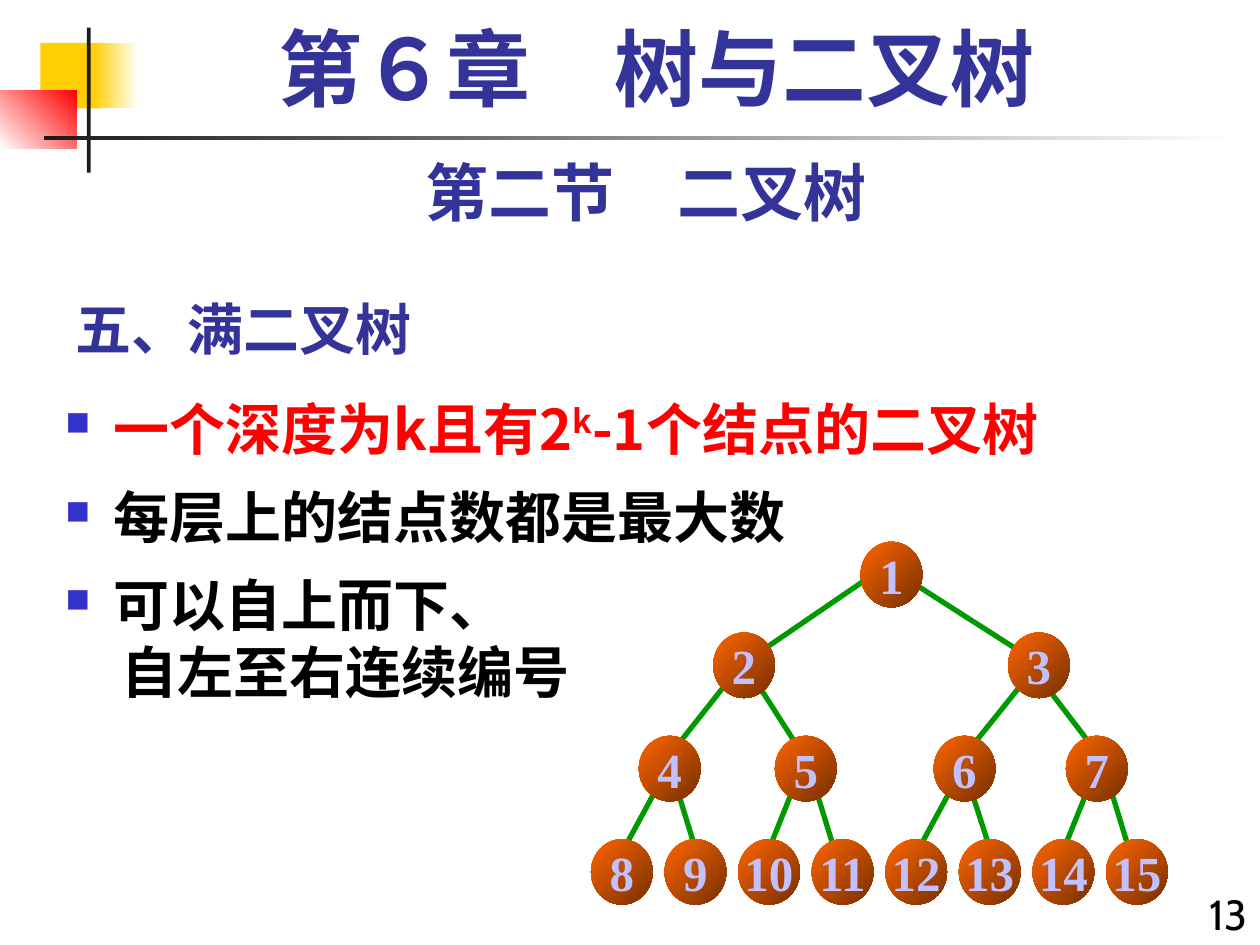
"""Build the slide on full binary trees."""
from lxml.etree import SubElement as Sub
from pptx import Presentation
from pptx.dml.color import RGBColor
from pptx.enum.shapes import MSO_CONNECTOR as Link, MSO_SHAPE as Kind
from pptx.enum.text import MSO_ANCHOR as Anchor, PP_ALIGN as Align
from pptx.oxml.ns import qn
from pptx.util import Inches, Pt

BLUE = RGBColor(0x33, 0x33, 0x99)
MARK = RGBColor(0x33, 0x33, 0xCC)
RED = RGBColor(0xFF, 0x00, 0x00)
BLACK = RGBColor(0x00, 0x00, 0x00)
WHITE = RGBColor(0xFF, 0xFF, 0xFF)
GOLD = RGBColor(0xFF, 0xCF, 0x01)
DARK = RGBColor(0x1C, 0x1C, 0x1C)
GREEN = RGBColor(0x00, 0x99, 0x00)
FLAME = RGBColor(0xFF, 0x66, 0x00)
BROWN = RGBColor(0x76, 0x2F, 0x00)
LILAC = RGBColor(0xC1, 0xC1, 0xFF)
HAN, SERIF, SANS = "Noto Sans CJK SC", "Times New Roman", "Cabin"

DECOR = [
    ((0.32, 0.34, 0.48, 0.52), (GOLD,), 0),
    ((0.74, 0.34, 0.36, 0.52), (GOLD, WHITE), 0),
    ((0, 0.72, 0.61, 0.46), (WHITE, RED), 45),
    ((0.69, 0.22, 0.03, 1.15), (DARK,), 0),
    ((0.35, 1.08, 9.45, 0.03), (DARK, WHITE), 0),
]
POINTS = [
    ([("一个深度为k且有2", 0), ("k", 30), ("-1个结点的二叉树", 0)], RED, True),
    ([("每层上的结点数都是最大数", 0)], BLACK, True),
    ([("可以自上而下、", 0)], BLACK, True),
    ([("　自左至右连续编号", 0)], BLACK, False),
]
LEVELS = [
    (4.3, [6.83]),
    (5.02, [5.66, 8]),
    (5.84, [5.07, 6.15, 7.41, 8.46]),
    (6.66, [4.69 + i * 0.584 for i in range(8)]),
]
EDGES = [
    (6.96, 4.54, 5.95, 5.23), (7.22, 4.61, 8.19, 5.23),
    (5.76, 5.43, 5.27, 6.05), (5.95, 5.33, 6.34, 5.94),
    (8.19, 5.33, 7.7, 5.94), (8.29, 5.43, 8.68, 5.94),
    (5.27, 6.15, 4.88, 6.87), (5.37, 6.25, 5.56, 6.87),
    (6.34, 6.15, 6.05, 6.87), (6.44, 6.15, 6.63, 6.77),
    (7.61, 6.15, 7.22, 6.87), (7.7, 6.25, 7.9, 6.87),
    (8.68, 6.15, 8.39, 6.87), (8.78, 6.15, 8.97, 6.77),
]


def write(para, text, size=32, font=HAN, color=BLUE, bold=True,
          align=Align.LEFT, base=0):
    para.alignment = align
    run = para.add_run()
    run.text = text
    face = run.font
    face.size, face.name, face.bold = Pt(size), font, bold
    face.color.rgb = color
    props = face._element
    Sub(props, qn("a:ea")).set("typeface", HAN)
    if base:
        props.set("baseline", str(base * 1000))


def box(slide, at, anchor=Anchor.TOP):
    frame = slide.shapes.add_textbox(*map(Inches, at)).text_frame
    frame.word_wrap = True
    frame.vertical_anchor = anchor
    return frame


def shape(slide, kind, at, tints, angle=0):
    item = slide.shapes.add_shape(kind, *map(Inches, at))
    item.shadow.inherit = False
    item.line.fill.background()
    if len(tints) == 1:
        item.fill.solid()
        item.fill.fore_color.rgb = tints[0]
    else:
        item.fill.gradient()
        item.fill.gradient_angle = angle
        for stop, tint in zip(item.fill.gradient_stops, tints):
            stop.color.rgb = tint
    return item


def indent(para, mark):
    props = para._p.get_or_add_pPr()
    props.set("marL", str(Inches(0.38)))
    props.set("indent", str(-Inches(0.38)))
    if mark:
        tint = Sub(Sub(props, qn("a:buClr")), qn("a:srgbClr"))
        tint.set("val", str(MARK))
        Sub(props, qn("a:buSzPct")).set("val", "60000")
        Sub(props, qn("a:buChar")).set("char", "■")


def outline(slide):
    frame = box(slide, (0.42, 3.08, 9.58, 4.42))
    for i, (runs, color, mark) in enumerate(POINTS):
        para = frame.add_paragraph() if i else frame.paragraphs[0]
        indent(para, mark)
        if i and mark:
            para.space_before = Pt(12)
        for text, base in runs:
            write(para, text, color=color, base=base)


def tree(slide):
    for ends in EDGES:
        edge = slide.shapes.add_connector(Link.STRAIGHT, *map(Inches, ends))
        edge.line.color.rgb = GREEN
        edge.line.width = Pt(3)
        Sub(edge._element.spPr, qn("a:effectLst"))
    spots = [(x, y) for y, row in LEVELS for x in row]
    for num, (x, y) in enumerate(spots, 1):
        node = shape(slide, Kind.OVAL, (x, y, 0.49, 0.52), (FLAME, BROWN), 315)
        frame = node.text_frame
        frame.word_wrap = False
        frame.vertical_anchor = Anchor.MIDDLE
        write(frame.paragraphs[0], str(num), size=28, font=SERIF,
              color=LILAC, align=Align.CENTER)


def main():
    deck = Presentation()
    deck.slide_width, deck.slide_height = Inches(10), Inches(7.5)
    slide = deck.slides.add_slide(deck.slide_layouts[6])
    for at, tints, angle in DECOR:
        shape(slide, Kind.RECTANGLE, at, tints, angle)
    head = box(slide, (0.67, 0.17, 9.08, 0.83)).paragraphs[0]
    indent(head, False)
    head.line_spacing = 0.9
    write(head, "第６章　树与二叉树", size=48, font=SERIF, align=Align.CENTER)
    part = box(slide, (0.5, 1.17, 9.25, 0.7)).paragraphs[0]
    write(part, "第二节　二叉树", size=36, font=SANS, align=Align.CENTER)
    topic = box(slide, (0.5, 2.17, 6.25, 0.75), Anchor.BOTTOM).paragraphs[0]
    write(topic, "五、满二叉树")
    page = box(slide, (9.33, 7, 0.67, 0.59)).paragraphs[0]
    write(page, "13", size=24, font=SANS, color=BLACK, bold=False,
          align=Align.RIGHT)
    outline(slide)
    tree(slide)
    deck.save("out.pptx")


if __name__ == "__main__":
    main()
